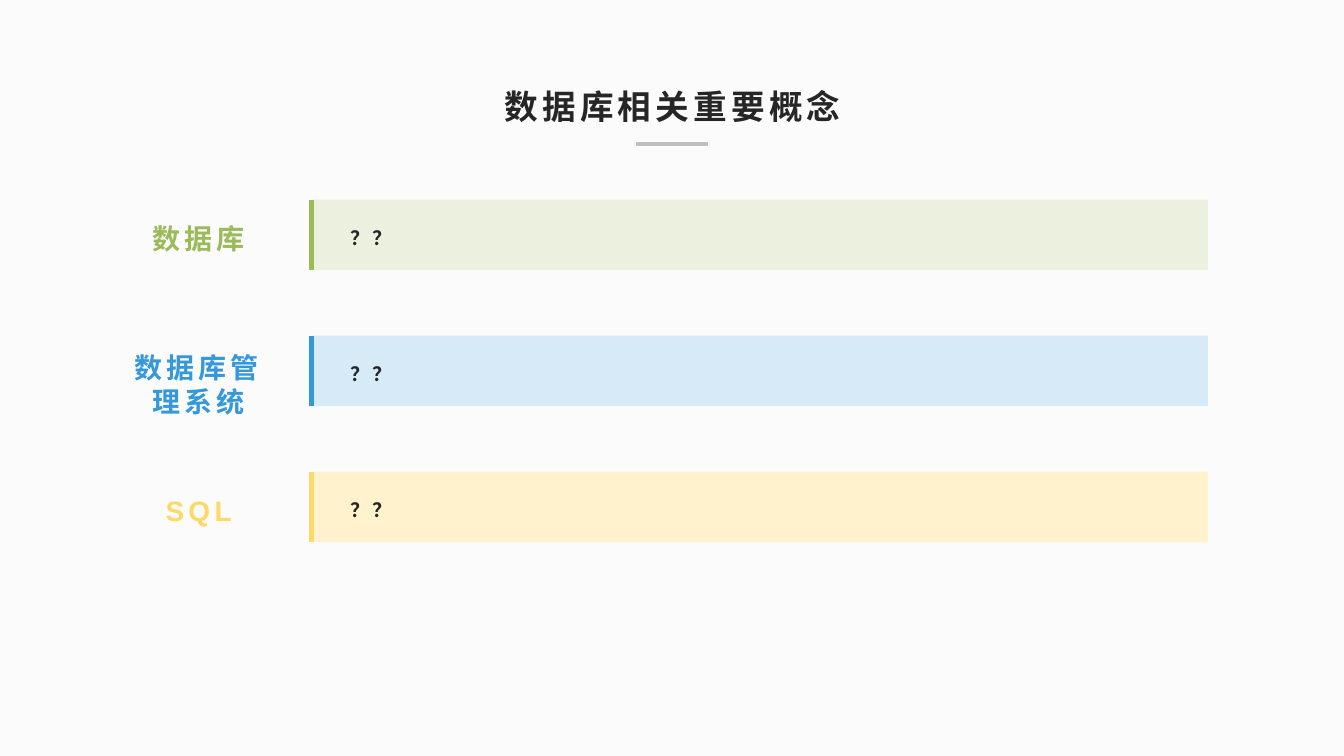
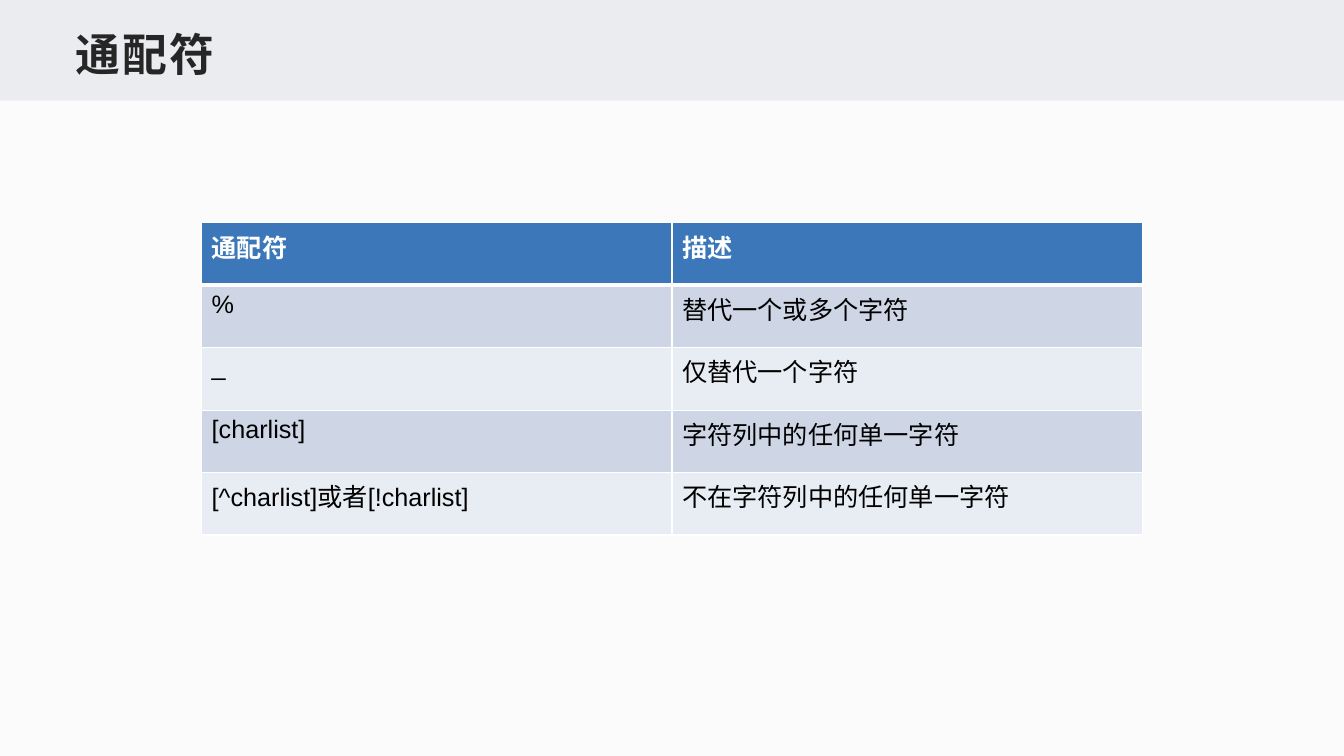
from dataclasses import dataclass
from typing import Any

from lxml import etree
from pptx import Presentation
from pptx.dml.color import RGBColor
from pptx.enum.lang import MSO_LANGUAGE_ID
from pptx.enum.shapes import MSO_CONNECTOR, MSO_SHAPE
from pptx.enum.text import MSO_ANCHOR, PP_ALIGN
from pptx.oxml.ns import qn
from pptx.util import Inches, Pt

RECT = MSO_SHAPE.RECTANGLE
STRAIGHT = MSO_CONNECTOR.STRAIGHT
CHINESE = MSO_LANGUAGE_ID.SIMPLIFIED_CHINESE
BOTTOM, MIDDLE = MSO_ANCHOR.BOTTOM, MSO_ANCHOR.MIDDLE
LEFT, CENTER = PP_ALIGN.LEFT, PP_ALIGN.CENTER

FONT = "Arial"
PAGE, INK, RULE, BAND = "FBFBFC", "262626", "BFBFBF", "EAECEF"
WHITE, BLACK = "FFFFFF", "000000"
HEADER, STRIPES = "3C78B9", ("CED6E6", "E8ECF3")
SLIDE_W, SLIDE_H = 13.33, 7.5

Box = tuple[float, float, float, float]


@dataclass(frozen=True)
class Style:
    size: float
    color: str
    bold: bool = True
    spacing: float = 0


@dataclass(frozen=True)
class Concept:
    label: str
    answer: str
    accent: str
    tint: str
    label_h: float = 0.5


CONCEPTS = (
    Concept("数据库", "？？", "9BBB59", "EBF1DE"),
    Concept("数据库管理系统", "？？", "3498DB", "D6EAF8", 1.03),
    Concept("SQL", "？？", "FFD966", "FFF2CC"),
)
CONCEPT_TOP, CONCEPT_STEP = 1.98, 1.35
BAR_X, BAR_W, BAR_H = 3.09, 8.89, 0.7

WILDCARDS = (
    ("通配符", "描述"),
    ("%", "替代一个或多个字符"),
    ("_", "仅替代一个字符"),
    ("[charlist]", "字符列中的任何单一字符"),
    ("[^charlist]或者[!charlist]", "不在字符列中的任何单一字符"),
)
TABLE_X, TABLE_Y, TABLE_W, ROW_H = 2, 2.21, 9.33, 0.62


def rgb(color: str) -> RGBColor:
    return RGBColor.from_string(color)


def set_attrs(target: Any, values: dict[str, Any]) -> None:
    for name, value in values.items():
        setattr(target, name, value)


def add_run(p: Any, text: str, style: Style) -> None:
    r = p.add_run()
    r.text = text
    set_attrs(r.font, {"name": FONT, "size": Pt(style.size),
                       "bold": style.bold, "language_id": CHINESE})
    r.font.color.rgb = rgb(style.color)
    if style.spacing:
        r._r.get_or_add_rPr().set("spc", str(round(style.spacing * 100)))


def add_text(slide: Any, box: Box, text: str, style: Style, anchor: Any = BOTTOM,
             align: Any = LEFT, line_spacing: float = 1.0,
             inset: tuple[float, float] = (0.1, 0.05)) -> None:
    tf = slide.shapes.add_textbox(*map(Inches, box)).text_frame
    dx, dy = map(Inches, inset)
    set_attrs(tf, {"word_wrap": True, "vertical_anchor": anchor,
                   "margin_left": dx, "margin_right": dx,
                   "margin_top": dy, "margin_bottom": dy})
    p = tf.paragraphs[0]
    set_attrs(p, {"alignment": align, "line_spacing": line_spacing})
    add_run(p, text, style)


def add_rect(slide: Any, box: Box, color: str) -> None:
    sp = slide.shapes.add_shape(RECT, *map(Inches, box))
    sp.shadow.inherit = False
    sp.fill.solid()
    sp.fill.fore_color.rgb = rgb(color)
    sp.line.fill.background()


def add_line(slide: Any, x1: float, y1: float, x2: float, y2: float, color: str) -> None:
    line = slide.shapes.add_connector(STRAIGHT, *map(Inches, (x1, y1, x2, y2)))
    line.line.color.rgb = rgb(color)
    line.line.width = Pt(3)
    etree.SubElement(line._element.spPr, qn("a:effectLst"))


def set_borders(cell: Any, widths: dict[str, float]) -> None:
    """Draw white cell edges; call before the fill, which must follow them."""
    tc_pr = cell._tc.get_or_add_tcPr()
    for edge, width in widths.items():
        ln = etree.SubElement(tc_pr, qn(f"a:ln{edge}"), w=str(Pt(width)))
        fill = etree.SubElement(ln, qn("a:solidFill"))
        etree.SubElement(fill, qn("a:srgbClr"), val=WHITE)


def add_slide(prs: Any) -> Any:
    s = prs.slides.add_slide(prs.slide_layouts[6])
    s.background.fill.solid()
    s.background.fill.fore_color.rgb = rgb(PAGE)
    return s


def add_concept(slide: Any, top: float, concept: Concept) -> None:
    middle = top + BAR_H / 2
    add_rect(slide, (BAR_X, top, BAR_W, BAR_H), concept.tint)
    add_text(slide, (1.08, middle - concept.label_h / 2, 1.78, concept.label_h),
             concept.label, Style(20, concept.accent, spacing=3), align=CENTER)
    add_text(slide, (3.38, middle - 0.36, 8.55, 0.72), concept.answer,
             Style(14, INK, spacing=1.5), MIDDLE, line_spacing=1.2)
    add_line(slide, BAR_X, top, BAR_X, top + BAR_H, concept.accent)


def concepts_slide(prs: Any) -> None:
    s = add_slide(prs)
    add_text(s, (0.86, 0.59, 11.62, 0.71), "数据库相关重要概念",
             Style(24, INK, spacing=3), align=CENTER)
    add_line(s, 6.31, 1.43, 7.02, 1.43, RULE)
    for i, concept in enumerate(CONCEPTS):
        add_concept(s, CONCEPT_TOP + i * CONCEPT_STEP, concept)


def wildcards_slide(prs: Any) -> None:
    s = add_slide(prs)
    add_rect(s, (0, 0, SLIDE_W, 1), BAND)
    add_text(s, (0.67, 0.17, 12, 0.67), "通配符", Style(32, INK, spacing=1.5),
             inset=(0.08, 0.04))
    n_rows, n_cols = len(WILDCARDS), len(WILDCARDS[0])
    box = (TABLE_X, TABLE_Y, TABLE_W, ROW_H * n_rows)
    table = s.shapes.add_table(n_rows, n_cols, *map(Inches, box)).table
    for i, row in enumerate(WILDCARDS):
        is_header = i == 0
        style = Style(18, WHITE if is_header else BLACK, is_header)
        color = HEADER if is_header else STRIPES[(i - 1) % 2]
        borders = {"L": 1, "R": 1, "T": 3 if i == 1 else 1, "B": 3 if is_header else 1}
        for j, text in enumerate(row):
            cell = table.cell(i, j)
            set_borders(cell, borders)
            cell.fill.solid()
            cell.fill.fore_color.rgb = rgb(color)
            add_run(cell.text_frame.paragraphs[0], text, style)


def main() -> None:
    prs = Presentation()
    set_attrs(prs, {"slide_width": Inches(SLIDE_W), "slide_height": Inches(SLIDE_H)})
    concepts_slide(prs)
    wildcards_slide(prs)
    prs.save("out.pptx")


if __name__ == "__main__":
    main()
